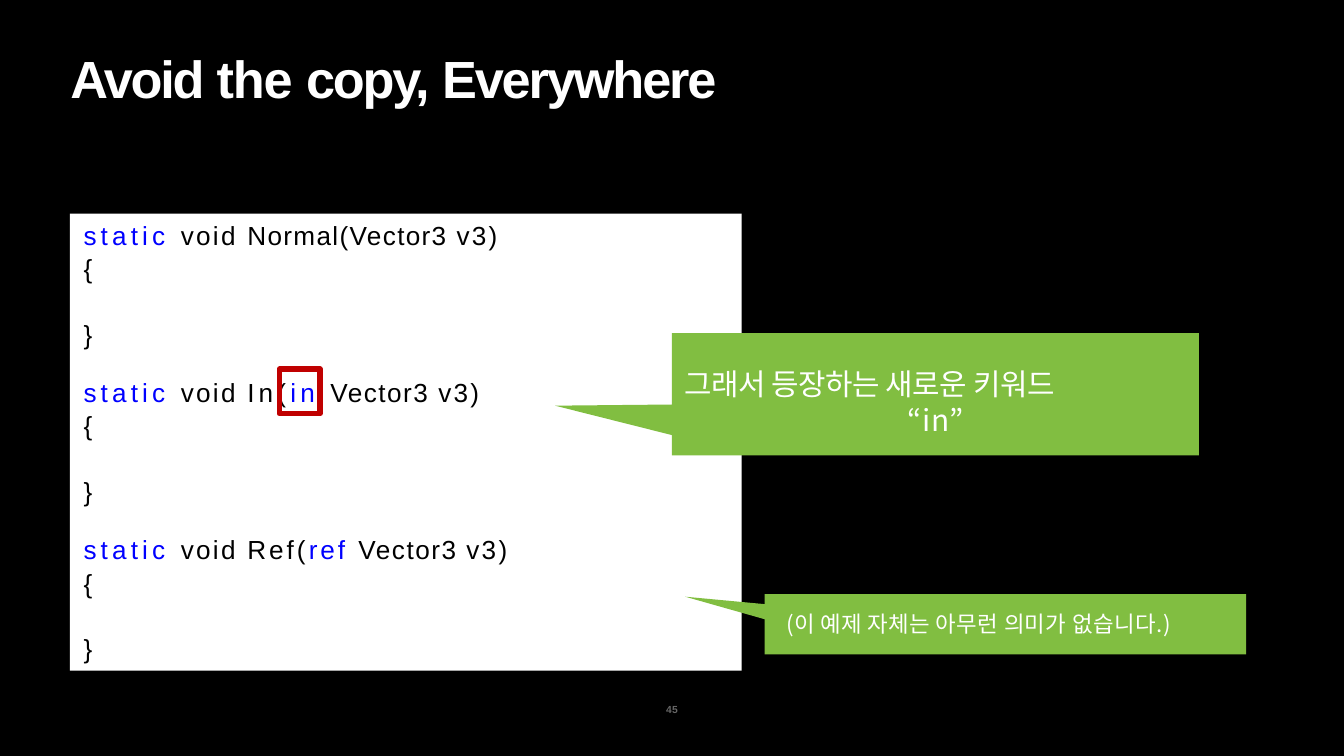
import pptx
import pptx.dml.color
import pptx.enum.shapes
import pptx.enum.text
import pptx.oxml
import pptx.oxml.ns
import pptx.util
from pptx.util import Cm

SHAPES = pptx.enum.shapes.MSO_SHAPE
ALIGN = pptx.enum.text.PP_ALIGN
LATIN, KOREAN = "Arial", "Noto Sans CJK JP"
BLACK, WHITE, KEYWORD = "000000", "FFFFFF", "0000FF"
GREEN, RED, GREY = "81BE41", "C00000", "666666"


def rgb(value):
    """Turn a hex string into a colour."""
    return pptx.dml.color.RGBColor.from_string(value)


def add_run(paragraph, text, size, color, spacing, font=LATIN, bold=False):
    """Append a run with its font, colour and letter spacing in points."""
    run = paragraph.add_run()
    run.text = text
    run.font.name = font
    run.font.size = pptx.util.Pt(size)
    run.font.bold = bold
    run.font.color.rgb = rgb(color)
    properties = run.font._element
    properties.set("spc", str(round(spacing * 100)))
    east_asian = pptx.oxml.parse_xml(
        f'<a:ea {pptx.oxml.ns.nsdecls("a")} typeface="{font}"/>')
    properties.find(pptx.oxml.ns.qn("a:latin")).addnext(east_asian)


def set_margins(frame, side, top):
    """Anchor a frame at the top with the given insets in centimetres."""
    frame.word_wrap = True
    frame.vertical_anchor = pptx.enum.text.MSO_ANCHOR.TOP
    frame.margin_left = frame.margin_right = Cm(side)
    frame.margin_top, frame.margin_bottom = Cm(top), 0


def add_text_frame(slide, left, top, width, height):
    """Add a text box and return its frame."""
    frame = slide.shapes.add_textbox(
        Cm(left), Cm(top), Cm(width), Cm(height)).text_frame
    set_margins(frame, 0.03, 0.03)
    return frame


def add_box(slide, kind, left, top, width, height, fill=None, line=None):
    """Add a preset shape with an optional fill and outline."""
    box = slide.shapes.add_shape(kind, Cm(left), Cm(top), Cm(width), Cm(height))
    box.shadow.inherit = False
    if fill:
        box.fill.solid()
        box.fill.fore_color.rgb = rgb(fill)
    else:
        box.fill.background()
    if line:
        box.line.color.rgb = rgb(line)
        box.line.width = pptx.util.Pt(3)
    else:
        box.line.fill.background()
    return box


def add_callout(slide, left, top, width, height, tip, side, inset, size, lines):
    """Add a green callout pointing at tip, with (text, alignment, spacing) lines."""
    callout = add_box(slide, SHAPES.RECTANGULAR_CALLOUT,
                      left, top, width, height, GREEN)
    callout.adjustments[0] = (tip[0] - left) / width - 0.5
    callout.adjustments[1] = (tip[1] - top) / height - 0.5
    frame = callout.text_frame
    set_margins(frame, side, inset)
    for index, (text, alignment, spacing) in enumerate(lines):
        paragraph = frame.add_paragraph() if index else frame.paragraphs[0]
        paragraph.alignment = alignment
        if len(lines) > 1:
            paragraph.line_spacing = pptx.util.Pt(19.3)
        add_run(paragraph, text, size, WHITE, spacing, KOREAN)


def add_method(slide, top, signature):
    """Add a method with an empty body, its signature given as runs."""
    frame = add_text_frame(slide, 1.55, top, 9.5, 2.5)
    static_void = [("static ", KEYWORD, 2.2), ("void ", BLACK, 1.2)]
    code = [(1.1, static_void + signature),
            (1, [("{", BLACK, 3)]),
            (18.2, [("}", BLACK, 3)])]
    for index, (space, runs) in enumerate(code):
        line = frame.add_paragraph() if index else frame.paragraphs[0]
        line.space_before = pptx.util.Pt(space)
        for text, color, spacing in runs:
            add_run(line, text, 14, color, spacing)


def main():
    """Build the slide and save it."""
    deck = pptx.Presentation()
    deck.slide_width, deck.slide_height = Cm(25.4), Cm(14.29)
    slide = deck.slides.add_slide(deck.slide_layouts[6])
    slide.background.fill.solid()
    slide.background.fill.fore_color.rgb = rgb(BLACK)

    title = add_text_frame(slide, 1.3, 0.84, 14, 1.25).paragraphs[0]
    for text, spacing in [("Avoid ", -1.2), ("the ", -0.6),
                          ("copy, ", -1.2), ("Everywhere", -1.1)]:
        add_run(title, text, 28, WHITE, spacing, bold=True)

    add_box(slide, SHAPES.RECTANGLE, 1.32, 4.04, 12.7, 8.64, WHITE)
    signatures = [
        [("Normal(Vector3 ", BLACK, 0.7), ("v3)", BLACK, 1.2)],
        [("In(", BLACK, 2.2), ("in ", KEYWORD, 2.2),
         ("Vector3 ", BLACK, 0.8), ("v3)", BLACK, 1.2)],
        [("Ref(", BLACK, 1.6), ("ref ", KEYWORD, 1.6),
         ("Vector3 ", BLACK, 0.8), ("v3)", BLACK, 1.2)],
    ]
    for index, signature in enumerate(signatures):
        add_method(slide, 4.12 + index * 2.97, signature)

    add_callout(slide, 12.7, 6.3, 9.96, 2.31, (10.49, 7.67), 0.23, 0.6, 16,
                [("그래서 등장하는 새로운 키워드", ALIGN.LEFT, -0.2),
                 ("“in”", ALIGN.CENTER, 0.4)])
    add_box(slide, SHAPES.RECTANGLE, 5.28, 6.98, 0.77, 0.84, line=RED)
    add_callout(slide, 14.45, 11.23, 9.1, 1.14, (12.95, 11.28), 0.41, 0.31, 12,
                [("(이 예제 자체는 아무런 의미가 없습니다.)", ALIGN.LEFT, 0.2)])

    page_number = add_text_frame(slide, 12.5, 13.27, 0.4, 0.3).paragraphs[0]
    page_number.alignment = ALIGN.CENTER
    add_run(page_number, "45", 5.5, GREY, 0.1, bold=True)
    deck.save("out.pptx")


if __name__ == "__main__":
    main()
